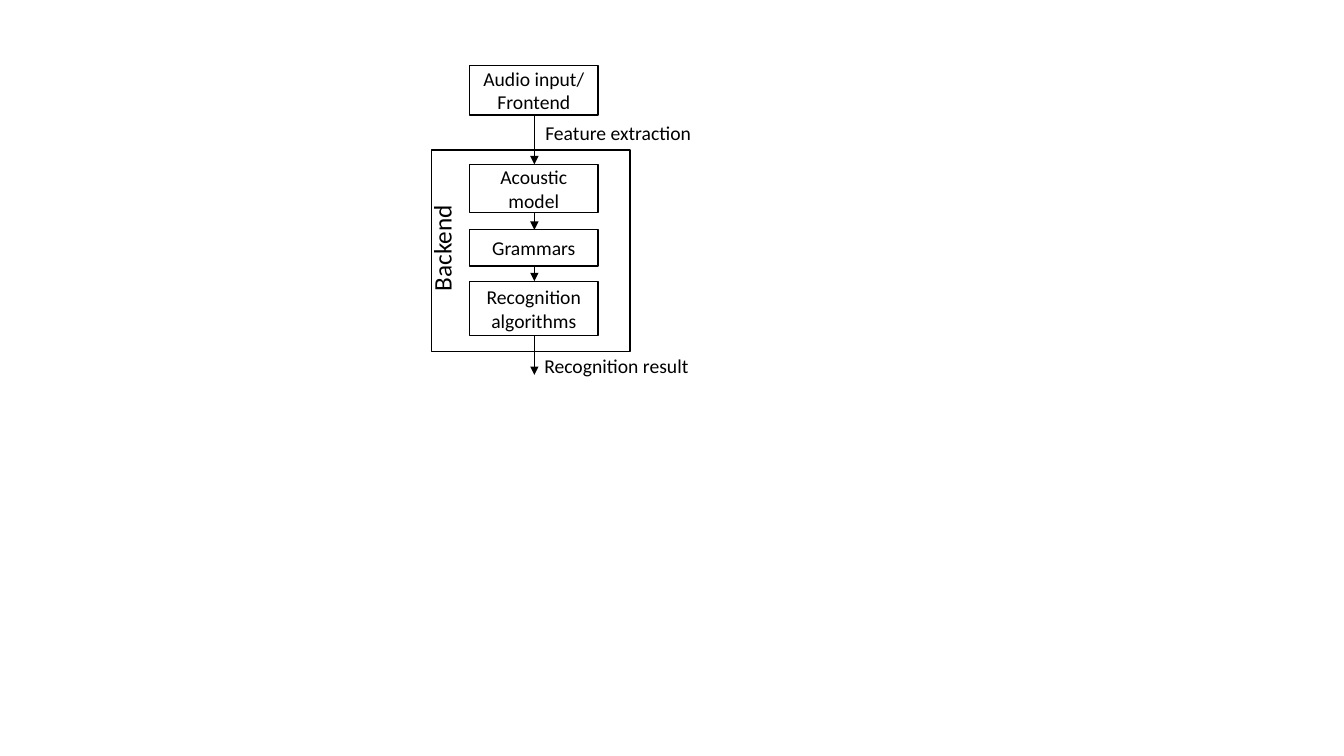
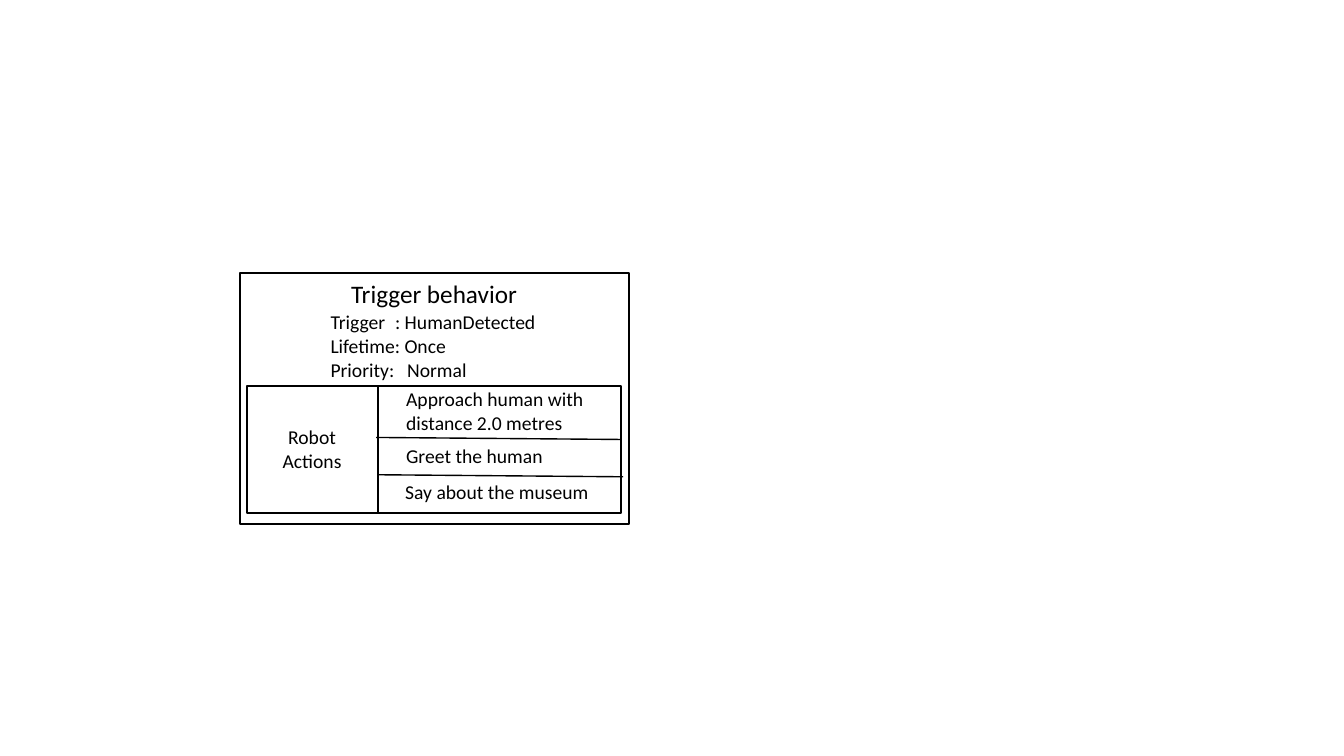
from itertools import pairwise

from lxml import etree
from pptx import Presentation
from pptx.dml.color import RGBColor
from pptx.enum.shapes import MSO_CONNECTOR, MSO_SHAPE
from pptx.enum.text import MSO_ANCHOR, MSO_AUTO_SIZE, PP_ALIGN
from pptx.oxml.ns import qn
from pptx.util import Inches, Pt

RECTANGLE = MSO_SHAPE.RECTANGLE
STRAIGHT = MSO_CONNECTOR.STRAIGHT
MIDDLE = MSO_ANCHOR.MIDDLE
GROW = MSO_AUTO_SIZE.SHAPE_TO_FIT_TEXT
LEFT, CENTER = PP_ALIGN.LEFT, PP_ALIGN.CENTER

COLORS = {"paper": "FFFFFF", "ink": "000000"}
PAPER = RGBColor.from_string(COLORS["paper"])
INK = RGBColor.from_string(COLORS["ink"])
FONT = "Calibri"
BODY, HEADING = 14, 18


def add_block(slide, box, text="", framed=False, size=BODY, align=LEFT):
    """Add a framed rectangle or a free label; box is left, top, width, height."""
    place = [Inches(length) for length in box]
    if framed:
        block = slide.shapes.add_shape(RECTANGLE, *place)
        block.shadow.inherit = False
        block.fill.solid()
        block.fill.fore_color.rgb = PAPER
        block.line.color.rgb = INK
        block.line.width = Pt(1)
        block.text_frame.vertical_anchor = MIDDLE
    else:
        block = slide.shapes.add_textbox(*place)
        block.text_frame.auto_size = GROW
    block.text_frame.word_wrap = framed
    if text:
        block.text_frame.text = text
        for paragraph in block.text_frame.paragraphs:
            paragraph.alignment = align
            for run in paragraph.runs:
                run.font.name = FONT
                run.font.size = Pt(size)
                run.font.color.rgb = INK
    return block


def add_line(slide, start, end, arrow=False):
    line = slide.shapes.add_connector(STRAIGHT, *[Inches(v) for v in (*start, *end)])
    line.line.color.rgb = INK
    line.line.width = Pt(1)
    if arrow:
        etree.SubElement(line.line._get_or_add_ln(), qn("a:tailEnd"), type="triangle")
    etree.SubElement(line._element.spPr, qn("a:effectLst"))


deck = Presentation()
deck.slide_width, deck.slide_height = Inches(13.33), Inches(7.5)
blank = deck.slide_layouts[6]

# Slide 1: speech recognition pipeline
pipeline = deck.slides.add_slide(blank)
add_block(pipeline, (4.28, 1.49, 1.97, 2), framed=True)

STEP_LEFT, STEP_WIDTH, FLOW_X, RESULT_Y = 4.66, 1.27, 5.3, 3.72
steps = [
    ("Audio input/ Frontend", 0.65, 0.49),
    ("Acoustic model", 1.63, 0.48),
    ("Grammars", 2.28, 0.36),
    ("Recognition algorithms", 2.79, 0.54),
]
for name, top, height in steps:
    add_block(pipeline, (STEP_LEFT, top, STEP_WIDTH, height), name, framed=True, align=CENTER)
for (_, top, height), (_, next_top, _) in pairwise([*steps, ("", RESULT_Y, 0)]):
    add_line(pipeline, (FLOW_X, top + height), (FLOW_X, next_top), arrow=True)

add_block(pipeline, (5.31, 1.15, 1.67, 0.34), "Feature extraction")
add_block(pipeline, (5.3, 3.46, 1.65, 0.34), "Recognition result")
backend = add_block(pipeline, (4.18, 2.03, 0.5, 0.96), "Backend", size=HEADING)
backend.text_frame._txBody.bodyPr.set("vert", "vert270")

# Slide 2: trigger behavior card
card = deck.slides.add_slide(blank)
for frame in [(2.38, 2.71, 3.86, 2.49), (2.45, 3.83, 2.53, 1.26), (3.75, 3.83, 2.41, 1.26)]:
    add_block(card, frame, framed=True)
add_line(card, (3.73, 4.34), (6.16, 4.36))
add_line(card, (3.75, 4.71), (6.18, 4.73))

add_block(card, (3.37, 2.71, 1.87, 0.4), "Trigger behavior", size=HEADING, align=CENTER)
add_block(card, (2.7, 4.17, 0.79, 0.57), "Robot\nActions", align=CENTER)
add_block(card, (3.93, 3.79, 2.02, 0.57), "Approach human with\ndistance 2.0 metres")
add_block(card, (3.93, 4.36, 1.57, 0.34), "Greet the human")
add_block(card, (3.92, 4.71, 2.04, 0.34), "Say about the museum")

settings = add_block(
    card,
    (3.18, 3.03, 2.4, 0.81),
    "Trigger\t: HumanDetected\nLifetime: Once\nPriority:\tNormal",
)
settings.text_frame.word_wrap = True
trigger, _, priority = settings.text_frame.paragraphs
for paragraph, stop in [(trigger, 0.64), (priority, 0.76)]:
    tabs = etree.SubElement(paragraph._p.get_or_add_pPr(), qn("a:tabLst"))
    etree.SubElement(tabs, qn("a:tab"), pos=str(Inches(stop)), algn="l")

deck.save("out.pptx")
